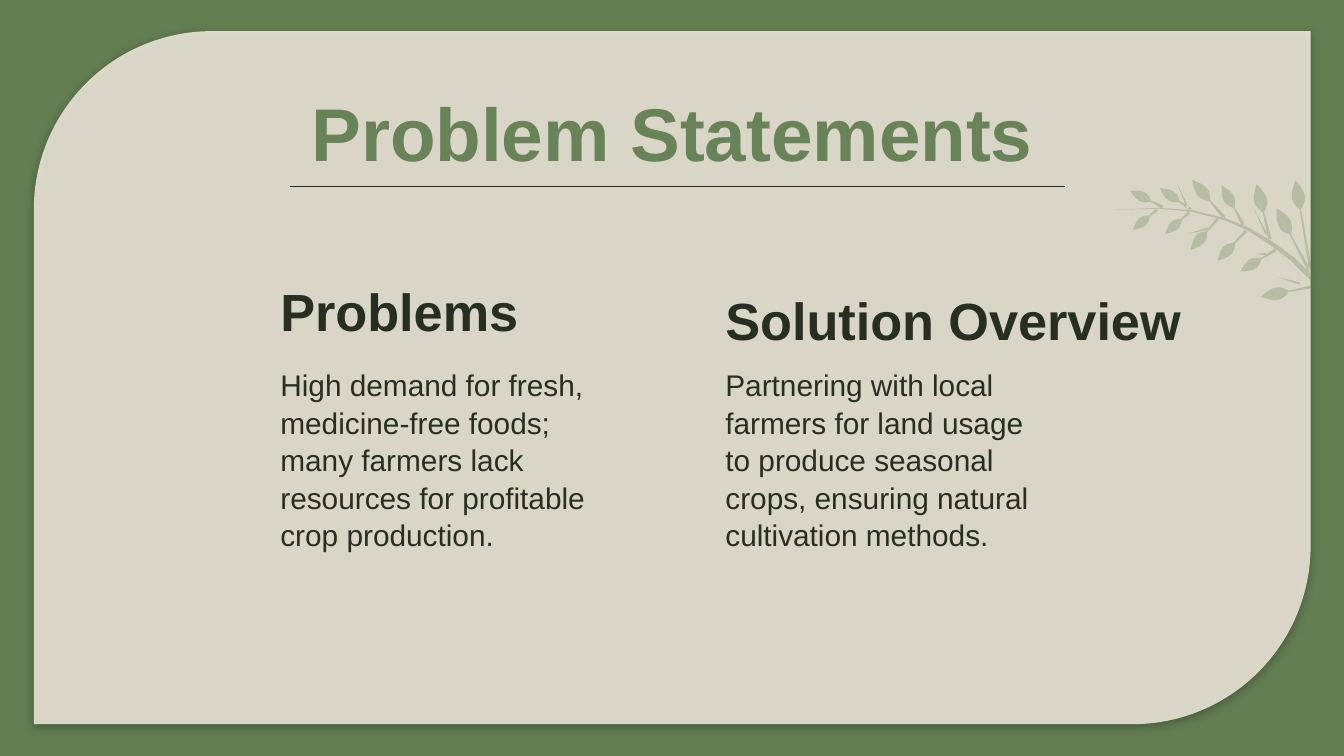
from math import hypot, pi, sin

from lxml import etree
from pptx import Presentation
from pptx.dml.color import RGBColor
from pptx.enum.shapes import MSO_CONNECTOR, MSO_SHAPE
from pptx.enum.text import MSO_ANCHOR, PP_ALIGN
from pptx.oxml import parse_xml
from pptx.oxml.ns import nsdecls, qn
from pptx.util import Cm, Pt

GREEN = RGBColor(0x63, 0x7E, 0x51)
TITLE_GREEN = RGBColor(0x69, 0x83, 0x58)
CREAM = RGBColor(0xFA, 0xF1, 0xE6)
DARK = RGBColor(0x27, 0x2E, 0x22)
FONT = "Arial"
TOP, BOTTOM = MSO_ANCHOR.TOP, MSO_ANCHOR.BOTTOM
LEFT, CENTER = PP_ALIGN.LEFT, PP_ALIGN.CENTER
PANEL = MSO_SHAPE.ROUND_2_DIAG_RECTANGLE
STRAIGHT = MSO_CONNECTOR.STRAIGHT
TITLE_ONLY = 5
SUBDIVISION = 10
BLADE_STEPS = 8

COLUMNS = [
    (5.05, 6.5, 5.36, "Problems",
     "High demand for fresh, medicine-free foods; many farmers lack "
     "resources for profitable crop production."),
    (13.46, 9.65, 5.54, "Solution Overview",
     "Partnering with local farmers for land usage to produce seasonal "
     "crops, ensuring natural cultivation methods."),
]

STEM = [(830, 156), (863, 155), (887, 157), (911, 163), (928, 170),
        (946, 181), (962, 193), (977, 208), (1012, 287)]
LEAVES = [
    ((865, 154), (841, 142)), ((886, 156), (863, 140)),
    ((911, 162), (887, 134)), ((925, 167), (909, 138)),
    ((945, 178), (935, 137)), ((975, 203), (950, 155)),
    ((976, 206), (964, 134)), ((861, 156), (843, 171)),
    ((885, 158), (867, 174)), ((906, 163), (886, 186)),
    ((927, 172), (906, 194)), ((949, 186), (923, 202)),
    ((978, 213), (938, 221)),
]
THORNS = [
    ((884, 155), (876, 137)), ((899, 170), (884, 174)),
    ((942, 189), (933, 189)), ((942, 174), (933, 155)),
    ((967, 211), (950, 206)),
]


def ribbon(points, half_widths):
    left, right = [], []
    for i, ((x, y), w) in enumerate(zip(points, half_widths)):
        x0, y0 = points[max(i - 1, 0)]
        x1, y1 = points[min(i + 1, len(points) - 1)]
        length = hypot(x1 - x0, y1 - y0)
        nx, ny = w * (y0 - y1) / length, w * (x1 - x0) / length
        left.append((x + nx, y + ny))
        right.append((x - nx, y - ny))
    return left + right[::-1]


def leaf(base, tip):
    (x0, y0), (x1, y1) = base, tip
    length = hypot(x1 - x0, y1 - y0)
    blade = min(22, 0.3 * length + 9)
    steps = [i / BLADE_STEPS for i in range(BLADE_STEPS + 1)]
    along = [0] + [1 - blade * (1 - t) / length for t in steps]
    points = [(x0 + (x1 - x0) * a, y0 + (y1 - y0) * a) for a in along]
    widths = [0.22 * blade * sin(pi * t ** 0.8) for t in steps]
    return ribbon(points, [1.2, 0.5] + widths[1:])


def branch():
    stem = ribbon(STEM, [0.28 * i for i in range(len(STEM))])
    thorns = [ribbon(thorn, [0.8, 0]) for thorn in THORNS]
    return [stem] + [leaf(*ends) for ends in LEAVES] + thorns


def write_text(tf, text, size, color=DARK, bold=False, align=LEFT,
               anchor=TOP, spacing=1.0):
    tf.word_wrap = True
    tf.vertical_anchor = anchor
    tf.margin_left = tf.margin_right = Cm(0.25)
    tf.margin_top = tf.margin_bottom = Cm(0.25)
    p = tf.paragraphs[0]
    p.alignment = align
    p.line_spacing = spacing
    r = p.add_run()
    r.text = text
    r.font.name = FONT
    r.font.size = Pt(size)
    r.font.bold = bold
    r.font.color.rgb = color


class SlideBuilder:
    def __init__(self, prs):
        self.slide = prs.slides.add_slide(prs.slide_layouts[TITLE_ONLY])
        self.shapes = self.slide.shapes

    def background(self, color):
        fill = self.slide.background.fill
        fill.solid()
        fill.fore_color.rgb = color

    def fill(self, sp, color, opacity):
        sp.shadow.inherit = False
        sp.line.fill.background()
        sp.fill.solid()
        sp.fill.fore_color.rgb = color
        clr = sp._element.spPr.find(qn("a:solidFill"))[0]
        etree.SubElement(clr, qn("a:alpha")).set("val", str(opacity * 1000))

    def panel(self, x, y, w, h, color, opacity):
        sp = self.shapes.add_shape(PANEL, Cm(x), Cm(y), Cm(w), Cm(h))
        sp.adjustments[0] = 0.257
        sp.adjustments[1] = 0
        self.fill(sp, color, opacity)
        sp._element.spPr.find(qn("a:effectLst")).append(parse_xml(
            f'<a:outerShdw {nsdecls("a")} blurRad="{Pt(4.5)}" '
            f'dist="{Pt(1.5)}" dir="5400000" algn="bl" rotWithShape="0">'
            f'<a:srgbClr val="{DARK}"><a:alpha val="50000"/></a:srgbClr>'
            '</a:outerShdw>'))

    def title(self, x, y, w, h, text, **fmt):
        sp = self.shapes.title
        sp.left, sp.top, sp.width, sp.height = Cm(x), Cm(y), Cm(w), Cm(h)
        write_text(sp.text_frame, text, **fmt)
        self.shapes._spTree.append(sp._element)

    def text(self, x, y, w, h, text, **fmt):
        sp = self.shapes.add_textbox(Cm(x), Cm(y), Cm(w), Cm(h))
        write_text(sp.text_frame, text, **fmt)

    def rule(self, x1, x2, y, color):
        line = self.shapes.add_connector(STRAIGHT, Cm(x1), Cm(y), Cm(x2), Cm(y))
        line.line.color.rgb = color
        line.line.width = Pt(0.75)
        etree.SubElement(line._element.spPr, qn("a:effectLst"))

    def outlines(self, contours, color, opacity):
        scale = Cm(2.54) / (100 * SUBDIVISION)
        scaled = [[(x * SUBDIVISION, y * SUBDIVISION) for x, y in contour]
                  for contour in contours]
        builder = self.shapes.build_freeform(*scaled[0][0], scale=scale)
        for contour in scaled:
            builder.move_to(*contour[0])
            builder.add_line_segments(contour[1:], close=True)
        self.fill(builder.convert_to_shape(), color, opacity)


def main():
    prs = Presentation()
    prs.slide_width, prs.slide_height = Cm(25.4), Cm(14.29)
    s = SlideBuilder(prs)
    s.background(GREEN)
    s.panel(0.64, 0.59, 24.13, 13.1, CREAM, 82)
    s.title(2, 1.25, 21.4, 1.6, "Problem Statements", size=40,
            color=TITLE_GREEN, bold=True, align=CENTER, spacing=1.08)
    for x, width, top, heading, body in COLUMNS:
        s.text(x, top, width, 1.35, heading, size=28, bold=True, anchor=BOTTOM)
        s.text(x, 6.65, 6.5, 4.04, body, size=16, spacing=1.05)
    s.rule(5.49, 20.12, 3.53, DARK)
    s.outlines(branch(), GREEN, 29)
    prs.save("out.pptx")


if __name__ == "__main__":
    main()
